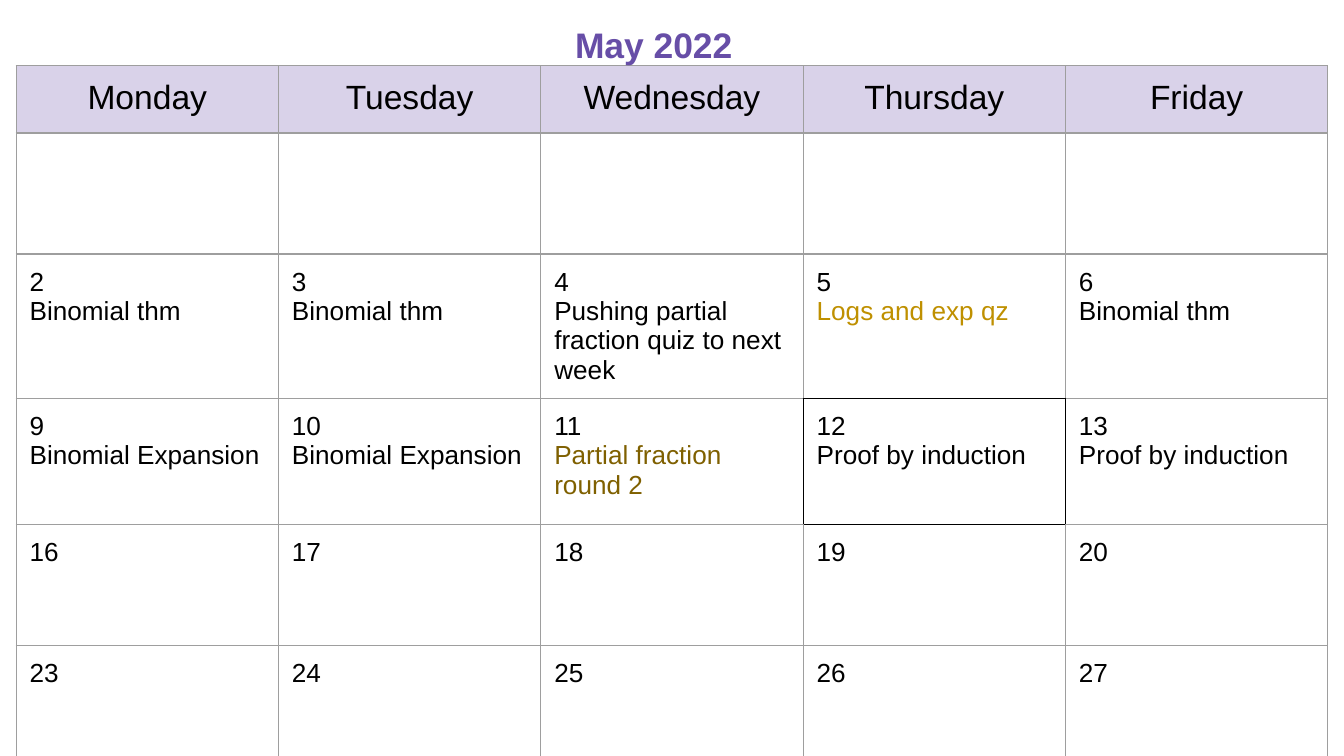
from lxml.etree import SubElement
from pptx import Presentation
from pptx.dml.color import RGBColor
from pptx.enum.text import MSO_AUTO_SIZE, PP_ALIGN
from pptx.oxml.ns import qn
from pptx.util import Inches, Pt

COLORS = {
    "title": "674EA7",
    "header": "D9D2E9",
    "grid": "9E9E9E",
    "text": "000000",
    "marked": "000000",
    "quiz": "BF9000",
    "retake": "7F6000",
}
FONT = "Arial"
SLIDE_WIDTH = 10
SLIDE_HEIGHT = SLIDE_WIDTH * 9 / 16
DAYS = ["Monday", "Tuesday", "Wednesday", "Thursday", "Friday"]
WEEK_STARTS = [None, 2, 9, 16, 23]
ROW_HEIGHTS = [0.5, 0.9, 0.9, 0.94, 0.9, 0.9]
EVENTS = {
    2: "Binomial thm",
    3: "Binomial thm",
    4: "Pushing partial fraction quiz to next week",
    5: "Logs and exp qz",
    6: "Binomial thm",
    9: "Binomial Expansion",
    10: "Binomial Expansion",
    11: "Partial fraction round 2",
    12: "Proof by induction",
    13: "Proof by induction",
}
EVENT_COLORS = {5: "quiz", 11: "retake"}
MARKED_CELL = (3, 3)
# Side tag -> row and column step to the neighbour across that side
SIDES = {"a:lnL": (0, -1), "a:lnR": (0, 1), "a:lnT": (-1, 0), "a:lnB": (1, 0)}


def add_run(p, text, size, color="text", bold=False):
    r = p.add_run()
    r.text = text
    r.font.name = FONT
    r.font.size = Pt(size)
    r.font.bold = bold
    r.font.color.rgb = RGBColor.from_string(COLORS[color])


def set_borders(cell, row, col):
    """Draw the grid, with every side shared with the marked cell darker."""
    tc_pr = cell._tc.get_or_add_tcPr()
    for tag, (down, right) in SIDES.items():
        touches = MARKED_CELL in ((row, col), (row + down, col + right))
        ln = SubElement(tc_pr, qn(tag), w=str(Pt(0.75)))
        fill = SubElement(ln, qn("a:solidFill"))
        SubElement(fill, qn("a:srgbClr"), val=COLORS["marked" if touches else "grid"])


def fill_header(cell, day):
    cell.fill.solid()
    cell.fill.fore_color.rgb = RGBColor.from_string(COLORS["header"])
    p = cell.text_frame.paragraphs[0]
    p.alignment = PP_ALIGN.CENTER
    add_run(p, day, 18)


def fill_date(cell, date):
    cell.fill.background()
    if date is None:
        return
    tf = cell.text_frame
    add_run(tf.paragraphs[0], str(date), 14)
    if date in EVENTS:
        add_run(tf.add_paragraph(), EVENTS[date], 14, EVENT_COLORS.get(date, "text"))


def add_calendar(slide, left, top, width):
    table = slide.shapes.add_table(
        len(ROW_HEIGHTS), len(DAYS), Inches(left), Inches(top),
        Inches(width), Inches(sum(ROW_HEIGHTS))).table
    table.first_row = table.horz_banding = False
    for column in table.columns:
        column.width = Inches(width / len(DAYS))
    for i, height in enumerate(ROW_HEIGHTS):
        table.rows[i].height = Inches(height)
        for j, day in enumerate(DAYS):
            cell = table.cell(i, j)
            cell.margin_left = cell.margin_right = Inches(0.1)
            cell.margin_top = cell.margin_bottom = Inches(0.1)
            set_borders(cell, i, j)
            if i == 0:
                fill_header(cell, day)
            else:
                start = WEEK_STARTS[i - 1]
                fill_date(cell, None if start is None else start + j)


def add_title(slide, text, left, top, width, height):
    box = slide.shapes.add_textbox(
        Inches(left), Inches(top), Inches(width), Inches(height))
    tf = box.text_frame
    tf.word_wrap = True
    tf.auto_size = MSO_AUTO_SIZE.SHAPE_TO_FIT_TEXT
    tf.margin_left = tf.margin_right = Inches(0.1)
    tf.margin_top = tf.margin_bottom = Inches(0.1)
    add_run(tf.paragraphs[0], text, 19, "title", bold=True)


def main():
    prs = Presentation()
    prs.slide_width, prs.slide_height = Inches(SLIDE_WIDTH), Inches(SLIDE_HEIGHT)
    slide = prs.slides.add_slide(prs.slide_layouts[6])
    add_calendar(slide, 0.12, 0.49, 9.76)
    add_title(slide, "May 2022", 4.18, 0.07, 3.79, 0.52)
    prs.save("out.pptx")


if __name__ == "__main__":
    main()
